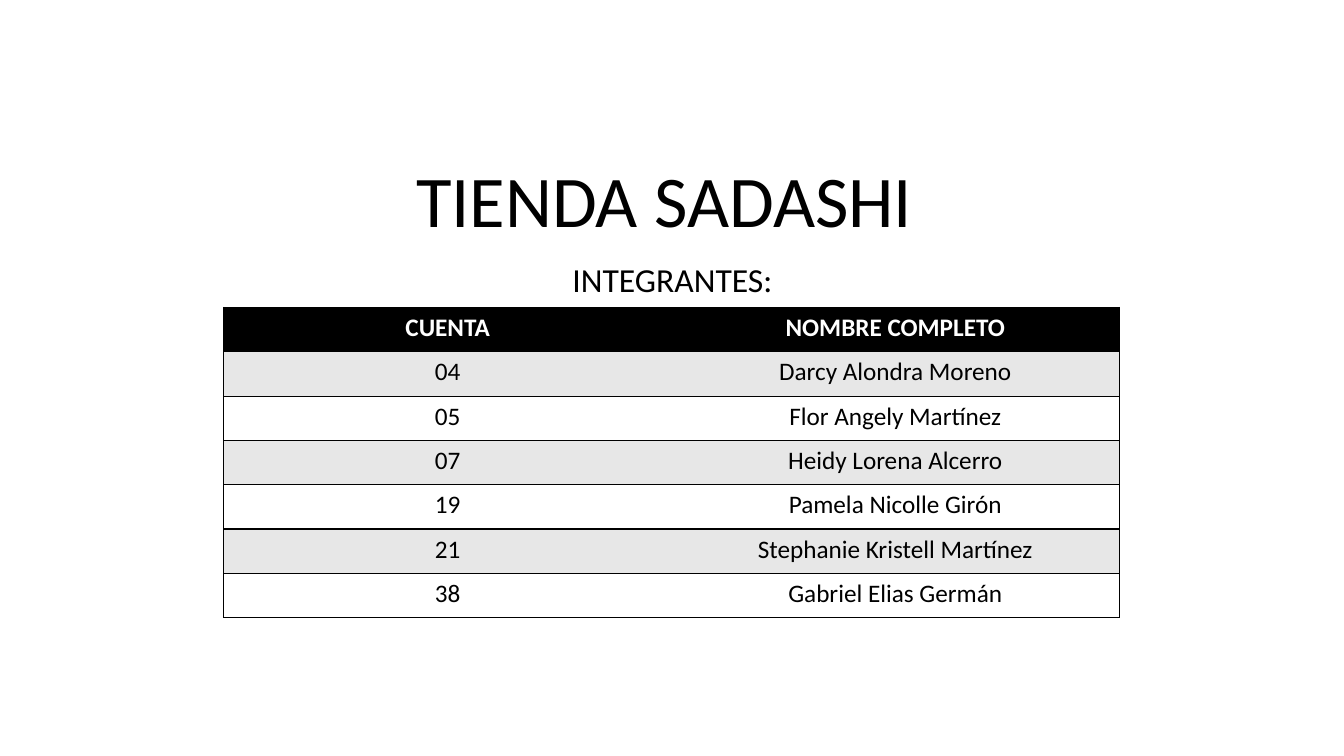
from lxml import etree
from pptx import Presentation
from pptx.dml.color import RGBColor
from pptx.enum.text import MSO_ANCHOR as Anchor, PP_ALIGN as Align
from pptx.oxml.ns import qn
from pptx.util import Inches, Pt

# Content
TITLE = "TIENDA SADASHI "
SUBTITLE = "INTEGRANTES:"
MEMBERS = [
    ("CUENTA", "NOMBRE COMPLETO"),
    ("04", "Darcy Alondra Moreno"),
    ("05", "Flor Angely Martínez"),
    ("07", "Heidy Lorena Alcerro"),
    ("19", "Pamela Nicolle Girón"),
    ("21", "Stephanie Kristell Martínez"),
    ("38", "Gabriel Elias Germán"),
]

FONT = "Calibri"
BLACK = RGBColor(0x00, 0x00, 0x00)
WHITE = RGBColor(0xFF, 0xFF, 0xFF)
GRAY = RGBColor(0xE7, 0xE7, 0xE7)
COLUMN_WIDTH, ROW_HEIGHT = 4.44, 0.44


def write(frame, text, size, color=BLACK, bold=False):
    frame.text = text
    paragraph = frame.paragraphs[0]
    paragraph.alignment = Align.CENTER
    font = paragraph.runs[0].font
    font.name, font.size, font.bold = FONT, Pt(size), bold
    font.color.rgb = color
    return paragraph


def set_borders(cell, visible_sides):
    """Draw black lines on the visible sides and hide the others."""
    properties = cell._tc.get_or_add_tcPr()
    for position, side in enumerate("LRTB"):
        line = etree.Element(qn(f"a:ln{side}"), w=str(Pt(1)))
        if side in visible_sides:
            fill = etree.SubElement(line, qn("a:solidFill"))
            etree.SubElement(fill, qn("a:srgbClr"), val=str(BLACK))
        else:
            etree.SubElement(line, qn("a:noFill"))
        properties.insert(position, line)


def main():
    deck = Presentation()
    deck.slide_width, deck.slide_height = Inches(13.33), Inches(7.5)
    slide = deck.slides.add_slide(deck.slide_layouts[5])

    # Title
    title = slide.shapes.title
    title.left, title.top = Inches(1.67), Inches(-0.15)
    title.width, title.height = Inches(10), Inches(2.61)
    title.text_frame.vertical_anchor = Anchor.BOTTOM
    write(title.text_frame, TITLE, 52).line_spacing = 0.9

    # Subtitle
    subtitle = slide.shapes.add_textbox(
        Inches(1.67), Inches(2.56), Inches(10), Inches(0.5))
    subtitle.text_frame.word_wrap = True
    write(subtitle.text_frame, SUBTITLE, 24).line_spacing = 0.9

    # Members table
    row_count, column_count = len(MEMBERS), len(MEMBERS[0])
    members = slide.shapes.add_table(
        row_count, column_count, Inches(2.22), Inches(3.05),
        Inches(COLUMN_WIDTH * column_count),
        Inches(ROW_HEIGHT * row_count)).table
    for r, row in enumerate(MEMBERS):
        is_header = r == 0
        row_fill = BLACK if is_header else GRAY if r % 2 else WHITE
        for c, text in enumerate(row):
            cell = members.cell(r, c)
            cell.fill.solid()
            cell.fill.fore_color.rgb = row_fill
            write(cell.text_frame, text, 18,
                  WHITE if is_header else BLACK, is_header)
            set_borders(cell, "LTB" if c == 0 else "RTB")

    deck.save("out.pptx")


if __name__ == "__main__":
    main()
